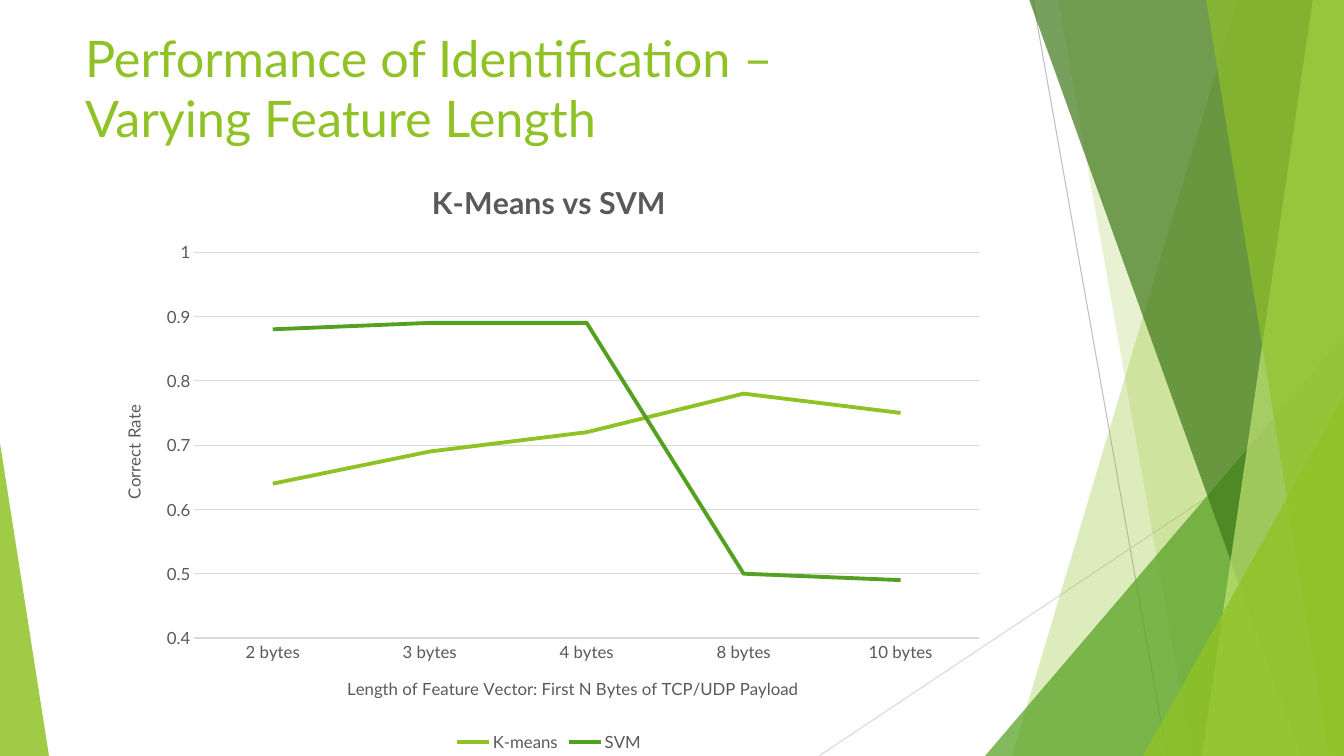
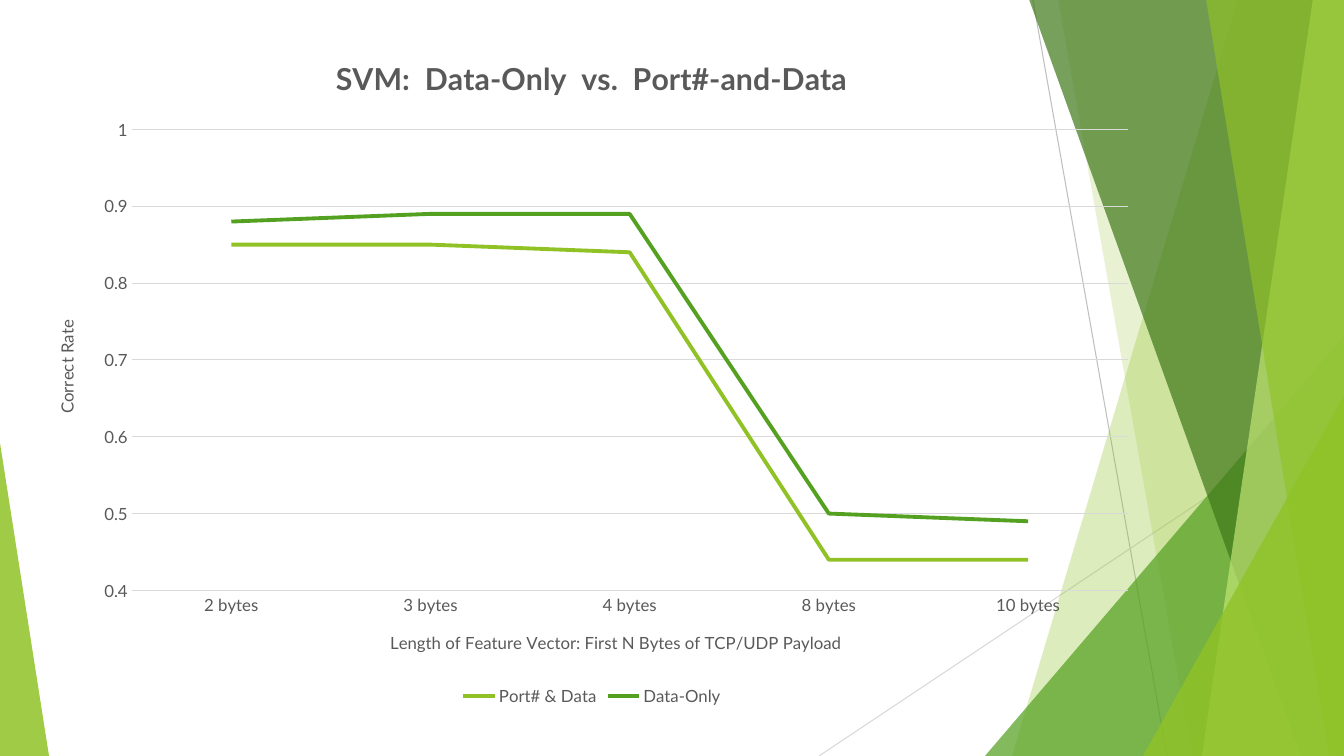
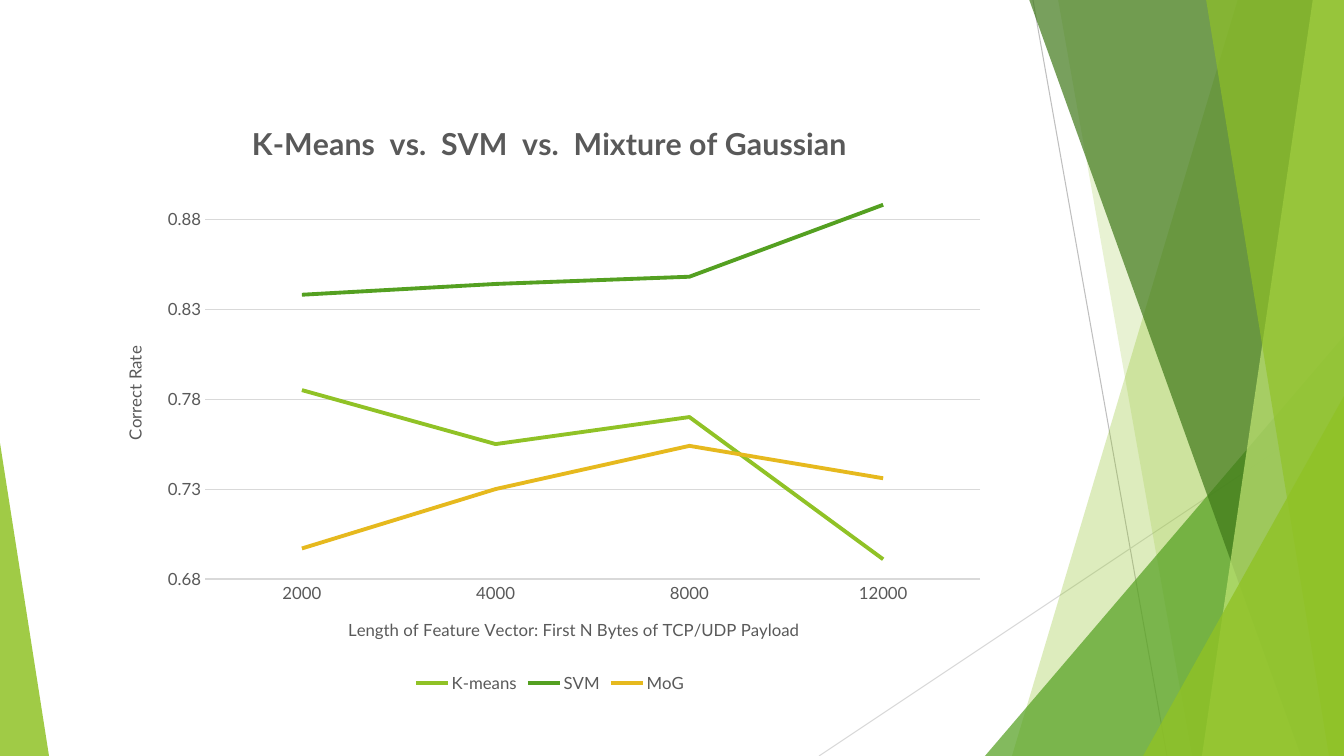
import lxml.etree
import pptx
import pptx.chart.data
import pptx.dml.color
import pptx.enum.chart
import pptx.enum.shapes
import pptx.enum.text
import pptx.oxml.ns
import pptx.util

PX = 914400 / 100.8  # EMU in one px
WIDTH, HEIGHT = 1344, 756
FONT = "Lato"
COLORS = {
    "lime": "90C226", "green": "54A021", "forest": "3F7819", "pale": "C0E474",
    "gold": "E6B91E", "text": "595959", "grid": "D9D9D9", "ray": "BFBFBF",
}

# Backdrop: rays (from, to, colour), bands (top x, bottom x, colour, opacity)
# reaching the right edge, and wedges (box, apex, colour, opacity)
RAYS = [((1033, 0), (1167, HEIGHT), "ray"), ((WIDTH, 406), (819, HEIGHT), "grid")]
BACKDROP = [
    ("band", (1238, 1012), "lime", 30),
    ("band", (1058, 1192), "lime", 20),
    ("wedge", (985, 336, 359, 420, 1), "green", 72),
    ("band", (1029, 1301), "forest", 70),
    ("band", (1313, 1202), "pale", 70),
    ("band", (1206, 1329), "lime", 65),
    ("wedge", (1143, 396, 201, 360, 1), "lime", 80),
    ("wedge", (0, 443, 49, 313, 0), "lime", 85),
]

# Content
X_TITLE = "Length of Feature Vector: First N Bytes of TCP/UDP Payload"
Y_TITLE = "Correct Rate"
BYTES = ["2 bytes", "3 bytes", "4 bytes", "8 bytes", "10 bytes"]
SVM_BY_BYTES = [0.88, 0.89, 0.89, 0.5, 0.49]
SERIES_COLORS = ["lime", "green", "gold"]
TITLE_BOX = (75, 22, 948, 145)
SLIDES = [
    {
        "heading": "Performance of Identification – \vVarying Feature Length",
        "box": (101, 158, 896, 598),
        "title": "K-Means vs SVM",
        "categories": BYTES,
        "series": {"K-means": [0.64, 0.69, 0.72, 0.78, 0.75], "SVM": SVM_BY_BYTES},
        "scale": (0.4, 1, 0.1),
    },
    {
        "box": (34, 32, 1116, 678),
        "title": "SVM:  Data-Only  vs.  Port#-and-Data",
        "categories": BYTES,
        "series": {"Port# & Data": [0.85, 0.85, 0.84, 0.44, 0.44],
                   "Data-Only": SVM_BY_BYTES},
        "scale": (0.4, 1, 0.1),
    },
    {
        "box": (102, 99, 896, 598),
        "title": "K-Means  vs.  SVM  vs.  Mixture of Gaussian",
        "categories": ["2000", "4000", "8000", "12000"],
        "series": {"K-means": [0.785, 0.755, 0.77, 0.691],
                   "SVM": [0.838, 0.844, 0.848, 0.888],
                   "MoG": [0.697, 0.73, 0.754, 0.736]},
        "scale": (0.68, 0.9, 0.05),
    },
]


def px(*lengths):
    return [round(length * PX) for length in lengths]


def rgb(name):
    return pptx.dml.color.RGBColor.from_string(COLORS[name])


def set_font(font, size, color="text", bold=False):
    font.name, font.size, font.bold = FONT, pptx.util.Pt(size), bold
    font.color.rgb = rgb(color)


def set_line(line, color, width):
    line.color.rgb = rgb(color)
    line.width = pptx.util.Pt(width)


def set_caption(caption, text, size, bold=False):
    caption.text_frame.text = text
    set_font(caption.text_frame.paragraphs[0].font, size, bold=bold)


def add_backdrop(slide, master):
    """Draw the backdrop as a group, then hand it to the master."""
    qn = pptx.oxml.ns.qn
    group = slide.shapes.add_group_shape()
    for start, end, color in RAYS:
        ray = group.shapes.add_connector(
            pptx.enum.shapes.MSO_CONNECTOR.STRAIGHT, *px(*start, *end))
        set_line(ray.line, color, 0.75)
        lxml.etree.SubElement(ray.element.spPr, qn("a:effectLst"))
    for kind, geometry, color, opacity in BACKDROP:
        if kind == "band":
            top, bottom = geometry
            outline = group.shapes.build_freeform(top, -1, scale=PX)
            outline.add_line_segments([(WIDTH, -1), (WIDTH, HEIGHT), (bottom, HEIGHT)])
            facet = outline.convert_to_shape()
        else:
            *box, apex = geometry
            facet = group.shapes.add_shape(
                pptx.enum.shapes.MSO_SHAPE.ISOSCELES_TRIANGLE, *px(*box))
            facet.adjustments[0] = apex
        facet.shadow.inherit = False
        facet.line.fill.background()
        facet.fill.solid()
        facet.fill.fore_color.rgb = rgb(color)
        fill_color = facet.element.spPr.find(".//" + qn("a:srgbClr"))
        lxml.etree.SubElement(fill_color, qn("a:alpha"), val=str(opacity * 1000))
    master.element.cSld.spTree.insert(2, group.element)


def add_heading(slide, text):
    heading = slide.shapes.title
    heading.left, heading.top, heading.width, heading.height = px(*TITLE_BOX)
    frame = heading.text_frame
    frame.text = text
    frame.word_wrap = True
    frame.auto_size = pptx.enum.text.MSO_AUTO_SIZE.NONE
    frame.vertical_anchor = pptx.enum.text.MSO_ANCHOR.TOP
    frame.paragraphs[0].alignment = pptx.enum.text.PP_ALIGN.LEFT
    set_font(frame.paragraphs[0].font, 36, "lime")


def add_line_chart(slide, content):
    enum = pptx.enum.chart
    data = pptx.chart.data.CategoryChartData()
    data.categories = content["categories"]
    for name, values in content["series"].items():
        data.add_series(name, values)
    chart = slide.shapes.add_chart(
        enum.XL_CHART_TYPE.LINE, *px(*content["box"]), data).chart
    set_font(chart.font, 12)

    # Title and legend
    chart.has_title = True
    set_caption(chart.chart_title, content["title"], 21.6, bold=True)
    chart.chart_title.include_in_layout = False
    chart.has_legend = True
    chart.legend.position = enum.XL_LEGEND_POSITION.BOTTOM
    chart.legend.include_in_layout = False
    set_font(chart.legend.font, 12)

    # Axes
    rates = chart.value_axis
    for axis, title in ((chart.category_axis, X_TITLE), (rates, Y_TITLE)):
        set_caption(axis.axis_title, title, 12)
        axis.major_tick_mark = axis.minor_tick_mark = enum.XL_TICK_MARK.NONE
        set_font(axis.tick_labels.font, 12)
    set_line(chart.category_axis.format.line, "grid", 1)
    rates.format.line.fill.background()
    set_line(rates.major_gridlines.format.line, "grid", 0.75)
    rates.minimum_scale, rates.maximum_scale, rates.major_unit = content["scale"]

    # Series
    chart.plots[0].vary_by_categories = False
    for series, color in zip(chart.plots[0].series, SERIES_COLORS):
        series.smooth = False
        set_line(series.format.line, color, 2.75)


def main():
    prs = pptx.Presentation()
    prs.slide_width, prs.slide_height = px(WIDTH, HEIGHT)
    title_only, blank = prs.slide_layouts[5], prs.slide_layouts[6]
    for number, content in enumerate(SLIDES):
        slide = prs.slides.add_slide(title_only if "heading" in content else blank)
        if number == 0:
            add_backdrop(slide, prs.slide_master)
        if "heading" in content:
            add_heading(slide, content["heading"])
        add_line_chart(slide, content)
    prs.save("out.pptx")


if __name__ == "__main__":
    main()
